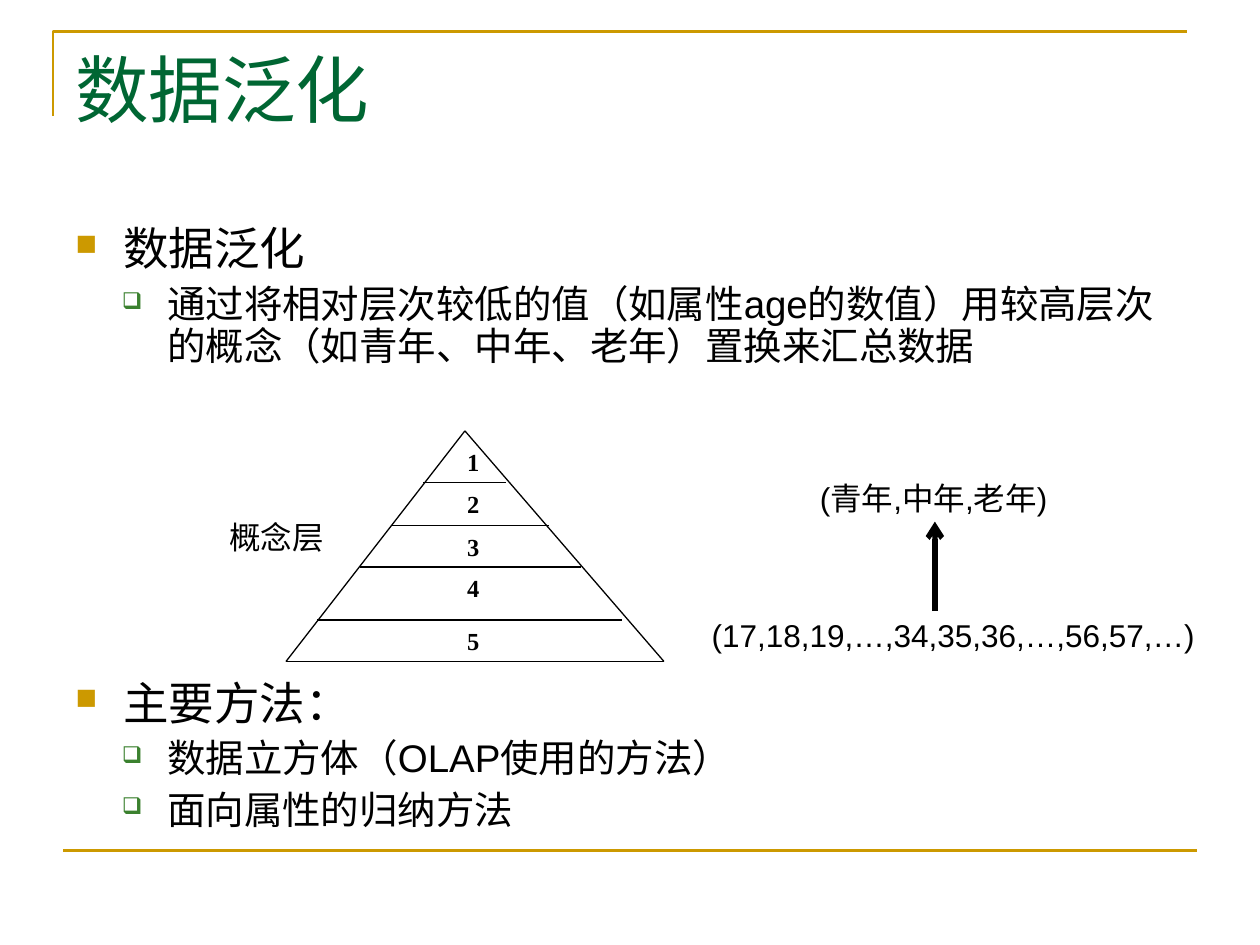
from dataclasses import dataclass
from itertools import pairwise

from lxml import etree
from pptx import Presentation
from pptx import util as u
from pptx.dml.color import RGBColor
from pptx.enum import shapes, text
from pptx.oxml.ns import qn

PX = 9144  # EMU per px, 100 px to the inch
GOLD, GREEN, LEAF, BLACK = "CC9900", "006633", "3B812F", "000000"
SANS, SERIF = "Arial", "Times New Roman"
LABEL_H = 40


@dataclass(frozen=True)
class Bullet:
    char: str
    color: str
    scale: int  # percent of the text size
    left: int
    hang: int
    size: int
    before: float


@dataclass(frozen=True)
class Item:
    text: str
    bullet: Bullet
    extra_before: float = 0


@dataclass(frozen=True)
class Level:
    """One layer of the pyramid: its label's top and its bottom edge."""
    top: int
    left: int
    right: int
    bottom: int


@dataclass(frozen=True)
class Label:
    text: str
    x: int
    y: int
    w: int
    font: str
    wrap: bool = True


HEAD = Bullet("■", GOLD, 65, 38, 38, 26, 6.5)
SUB = Bullet("❑", LEAF, 60, 73, 36, 22, 5.5)
DIAGRAM_GAP = 172  # points left free for the diagram

ITEMS = [
    Item("数据泛化", HEAD),
    Item("通过将相对层次较低的值（如属性age的数值）用较高层次的概念"
         "（如青年、中年、老年）置换来汇总数据", SUB),
    Item("主要方法：", HEAD, DIAGRAM_GAP),
    Item("数据立方体（OLAP使用的方法）", SUB),
    Item("面向属性的归纳方法", SUB),
]

APEX = (369, 342)
LEVELS = [
    Level(350, 336, 402, 383),
    Level(383, 311, 436, 417),
    Level(417, 286, 461, 450),
    Level(450, 252, 494, 492),
    Level(492, 227, 527, 525),
]

LABELS = [
    Label("概念层", 172, 406, 95, SERIF, wrap=False),
    Label("(17,18,19,…,34,35,36,…,56,57,…)", 555, 484, 406, SANS),
    Label("(青年,中年,老年)", 641, 375, 273, SANS),
]


def px(n: int) -> u.Emu:
    return u.Emu(n * PX)


def rgb(color: str) -> RGBColor:
    return RGBColor.from_string(color)


def add_run(p, content: str, *, size: float, font: str = SANS,
            color: str = BLACK, bold: bool = False) -> None:
    r = p.add_run()
    r.text = content
    r.font.size, r.font.name, r.font.bold = u.Pt(size), font, bold
    r.font.color.rgb = rgb(color)


def add_frame(s, x: int, y: int, w: int, h: int, wrap: bool = True):
    tf = s.shapes.add_textbox(px(x), px(y), px(w), px(h)).text_frame
    tf.word_wrap = wrap
    tf.vertical_anchor = text.MSO_ANCHOR.TOP
    return tf


def add_text(s, content: str, x: int, y: int, w: int, h: int, *,
             wrap: bool = True, **fmt) -> None:
    tf = add_frame(s, x, y, w, h, wrap)
    add_run(tf.paragraphs[0], content, **fmt)


def add_line(s, start: tuple[int, int], end: tuple[int, int], *,
             color: str = BLACK, width: float = 0.75, arrow: bool = False) -> None:
    sp = s.shapes.add_connector(shapes.MSO_CONNECTOR.STRAIGHT,
                                *map(px, start), *map(px, end))
    sp.line.color.rgb = rgb(color)
    sp.line.width = u.Pt(width)
    if arrow:
        etree.SubElement(sp.line._get_or_add_ln(), qn("a:tailEnd"), type="arrow")
    etree.SubElement(sp._element.spPr, qn("a:effectLst"))


def set_bullet(p, b: Bullet) -> None:
    pPr = p._p.get_or_add_pPr()
    pPr.set("marL", str(px(b.left)))
    pPr.set("indent", str(px(-b.hang)))
    clr = etree.SubElement(pPr, qn("a:buClr"))
    etree.SubElement(clr, qn("a:srgbClr"), val=b.color)
    etree.SubElement(pPr, qn("a:buSzPct"), val=str(b.scale * 1000))
    etree.SubElement(pPr, qn("a:buChar"), char=b.char)


def add_frame_lines(s) -> None:
    """Corner rule above the title and rule below the body."""
    fb = s.shapes.build_freeform(42, 92, scale=PX)
    fb.add_line_segments([(42, 25), (942, 25)], close=False)
    sp = fb.convert_to_shape()
    sp.shadow.inherit = False
    sp.fill.background()
    sp.line.color.rgb = rgb(GOLD)
    sp.line.width = u.Pt(1.5)
    add_line(s, (50, 675), (950, 675), color=GOLD, width=1.5)


def add_body(s, items: list[Item]) -> None:
    tf = add_frame(s, 50, 175, 900, 495)
    for i, item in enumerate(items):
        p = tf.add_paragraph() if i else tf.paragraphs[0]
        b = item.bullet
        p.level = int(b is SUB)
        p.line_spacing = 0.9
        p.space_before = u.Pt(b.before + item.extra_before)
        set_bullet(p, b)
        add_run(p, item.text, size=b.size)


def add_pyramid(s, levels: list[Level]) -> None:
    base = levels[-1]
    corners = [(base.left, base.bottom), APEX, (base.right, base.bottom)]
    for start, end in pairwise(corners):
        add_line(s, start, end)
    for number, lv in enumerate(levels, 1):
        add_line(s, (lv.left, lv.bottom), (lv.right, lv.bottom))
        add_text(s, str(number), 361, lv.top, 30, 34, wrap=False,
                 size=14, font=SERIF, bold=True)


def main() -> None:
    prs = Presentation()
    prs.slide_width, prs.slide_height = px(1000), px(750)
    s = prs.slides.add_slide(prs.slide_layouts[6])
    add_frame_lines(s)
    add_text(s, "数据泛化", 50, 30, 900, 125, size=42, font=SERIF, color=GREEN)
    add_body(s, ITEMS)
    add_pyramid(s, LEVELS)
    for lb in LABELS:
        add_text(s, lb.text, lb.x, lb.y, lb.w, LABEL_H, wrap=lb.wrap,
                 size=18, font=lb.font)
    add_line(s, (742, 485), (742, 414), width=3, arrow=True)
    prs.save("out.pptx")


if __name__ == "__main__":
    main()
